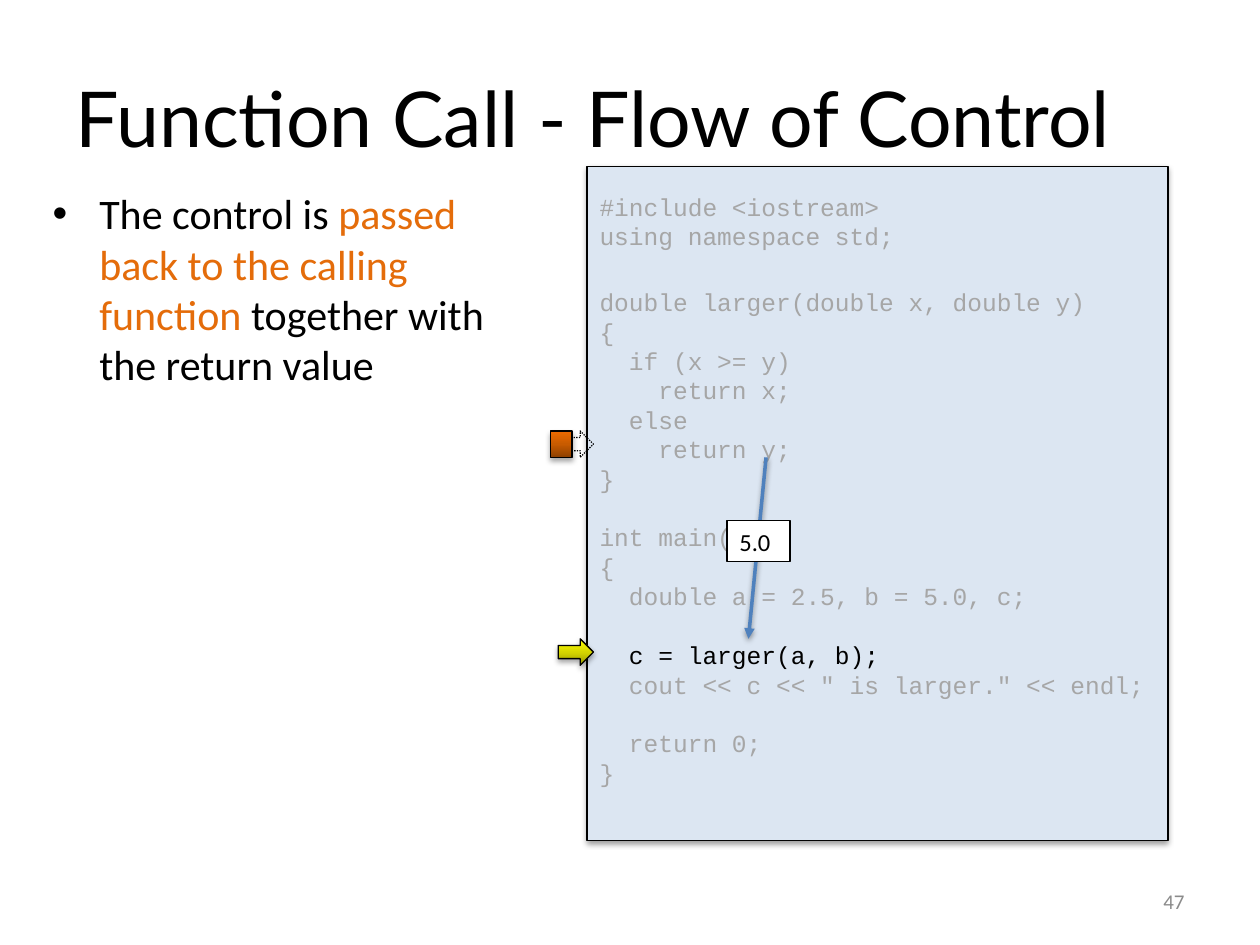
"""Build the slide on how control flows back from a function call."""
from copy import deepcopy

from lxml import etree
from pptx import Presentation
from pptx import util as u
from pptx.dml.color import RGBColor
from pptx.enum import dml, shapes, text
from pptx.oxml.ns import qn

BLACK = RGBColor(0, 0, 0)
WHITE = RGBColor(0xFF, 0xFF, 0xFF)
ORANGE = RGBColor(0xE4, 0x6C, 0x0A)
PALE = RGBColor(0xDC, 0xE6, 0xF2)
DIM = RGBColor(0xA6, 0xA6, 0xA6)
BLUE = RGBColor(0x4F, 0x81, 0xBD)
NUMBER = RGBColor(0x8B, 0x8B, 0x8B)
YELLOWS = [RGBColor(0x97, 0x97, 0), RGBColor(0xD6, 0xD6, 0), RGBColor(0xFF, 0xFF, 0)]
RUSTS = [RGBColor(0x8D, 0x40, 0), RGBColor(0xC8, 0x5B, 0), RGBColor(0xEE, 0x6B, 0)]

TITLE = "Function Call - Flow of Control"
BULLET = [("The control is ", BLACK), ("passed back to the calling function ", ORANGE),
          ("together with the return value", BLACK)]
ACTIVE = "  c = larger(a, b);"
CODE_BLOCKS = [
    ["#include <iostream>", "using namespace std;"],
    ["double larger(double x, double y)", "{", "  if (x >= y)", "    return x;",
     "  else", "    return y;", "}"],
    ["int main()", "{", "  double a = 2.5, b = 5.0, c;"],
    [ACTIVE, '  cout << c << " is larger." << endl;'],
    ["  return 0;", "}"],
]
BLOCK_GAPS = [0, 21, 16.8, 16.8, 16.8]
MARK_H, ARROW_W, ARROW_X = 0.21, 0.28, 4.43
RETURN_Y, CALL_Y = 3.42, 5.07


def box(at):
    return [u.Inches(v) for v in at]


def add_run(p, words, size, color, font="Calibri"):
    r = p.add_run()
    r.text = words
    r.font.size, r.font.name, r.font.color.rgb = u.Pt(size), font, color


def set_shadow(sp, alpha=38, dist=1.6):
    effects = etree.SubElement(sp._element.spPr, qn("a:effectLst"))
    shadow = etree.SubElement(effects, qn("a:outerShdw"), blurRad=str(u.Pt(3.1)),
                              dist=str(u.Pt(dist)), dir="5400000", rotWithShape="0")
    color = etree.SubElement(shadow, qn("a:srgbClr"), val=str(BLACK))
    etree.SubElement(color, qn("a:alpha"), val=str(alpha * 1000))


def add_shape(slide, kind, at, fill=None, shadow=None):
    sp = slide.shapes.add_shape(kind, *box(at))
    sp.line.color.rgb, sp.line.width = BLACK, u.Pt(0.75)
    if fill is None:
        sp.fill.background()
    elif isinstance(fill, list):
        sp.fill.gradient()
        sp.fill.gradient_angle = 90
        stops = sp._element.spPr.find(qn("a:gradFill")).find(qn("a:gsLst"))
        stops.insert(1, deepcopy(stops[0]))
        for i, (stop, color) in enumerate(zip(sp.fill.gradient_stops, fill)):
            stop.position, stop.color.rgb = i / 2, color
    else:
        sp.fill.solid()
        sp.fill.fore_color.rgb = fill
    if shadow:
        set_shadow(sp, *shadow)
    else:
        sp.shadow.inherit = False
    return sp


def add_text(slide, at, anchor=text.MSO_ANCHOR.TOP):
    tf = slide.shapes.add_textbox(*box(at)).text_frame
    tf.word_wrap, tf.vertical_anchor = True, anchor
    return tf.paragraphs[0]


def add_title(slide):
    sp = slide.shapes.title
    sp.left, sp.top, sp.width, sp.height = box((0.5, 0.3, 9, 1.25))
    sp.text_frame.text = TITLE
    sp.text_frame.vertical_anchor = text.MSO_ANCHOR.MIDDLE
    p = sp.text_frame.paragraphs[0]
    p.alignment = text.PP_ALIGN.LEFT
    font = p.runs[0].font
    font.size, font.name, font.color.rgb = u.Pt(44), "Lato", BLACK


def add_bullet(slide):
    p = add_text(slide, (0.31, 1.44, 4.06, 5.37))
    pPr = p._p.get_or_add_pPr()
    pPr.set("marL", str(u.Inches(0.38)))
    pPr.set("indent", str(u.Inches(-0.37)))
    etree.SubElement(pPr, qn("a:buFont"), typeface="Arial")
    etree.SubElement(pPr, qn("a:buChar"), char="•")
    for words, color in BULLET:
        add_run(p, words, 24, color)


def add_code(slide):
    sp = add_shape(slide, shapes.MSO_SHAPE.RECTANGLE, (4.66, 1.32, 4.61, 5.35), PALE, (38, 1.6))
    tf = sp.text_frame
    tf.word_wrap, tf.vertical_anchor, tf.margin_top = True, text.MSO_ANCHOR.TOP, u.Inches(0.2)
    p = tf.paragraphs[0]
    for block, gap in zip(CODE_BLOCKS, BLOCK_GAPS):
        for i, line in enumerate(block):
            if p.runs:
                p = tf.add_paragraph()
            p.alignment = text.PP_ALIGN.LEFT
            p.line_spacing = u.Pt(16.8)
            if gap and i == 0:
                p.space_before = u.Pt(gap)
            add_run(p, line, 14, BLACK if line == ACTIVE else DIM, "Courier New")


def add_flow(slide):
    arrow, rect = shapes.MSO_SHAPE.RIGHT_ARROW, shapes.MSO_SHAPE.RECTANGLE
    add_shape(slide, arrow, (ARROW_X, CALL_Y, ARROW_W, MARK_H), YELLOWS, (35, 1.8))
    ends = box((6.08, RETURN_Y + MARK_H, 5.94, CALL_Y))
    line = slide.shapes.add_connector(shapes.MSO_CONNECTOR.STRAIGHT, *ends)
    line.line.color.rgb, line.line.width = BLUE, u.Pt(2)
    etree.SubElement(line.line._get_or_add_ln(), qn("a:tailEnd"), type="triangle")
    set_shadow(line)

    value = add_shape(slide, rect, (5.77, 4.13, 0.5, 0.33), WHITE)
    tf = value.text_frame
    tf.word_wrap, tf.vertical_anchor = False, text.MSO_ANCHOR.TOP
    tf.paragraphs[0].alignment = text.PP_ALIGN.LEFT
    add_run(tf.paragraphs[0], "5.0", 14, BLACK)

    past = add_shape(slide, arrow, (ARROW_X, RETURN_Y, ARROW_W, MARK_H))
    past.line.dash_style = dml.MSO_LINE.ROUND_DOT
    add_shape(slide, rect, (4.37, RETURN_Y, 0.17, MARK_H), RUSTS, (35, 1.8))


def main():
    prs = Presentation()
    prs.slide_width, prs.slide_height = u.Inches(10), u.Inches(7.5)
    slide = prs.slides.add_slide(prs.slide_layouts[5])
    add_title(slide)
    add_bullet(slide)
    add_code(slide)
    add_flow(slide)
    p = add_text(slide, (7.17, 6.95, 2.33, 0.4), text.MSO_ANCHOR.MIDDLE)
    p.alignment = text.PP_ALIGN.RIGHT
    add_run(p, "47", 12, NUMBER)
    prs.save("out.pptx")


if __name__ == "__main__":
    main()
